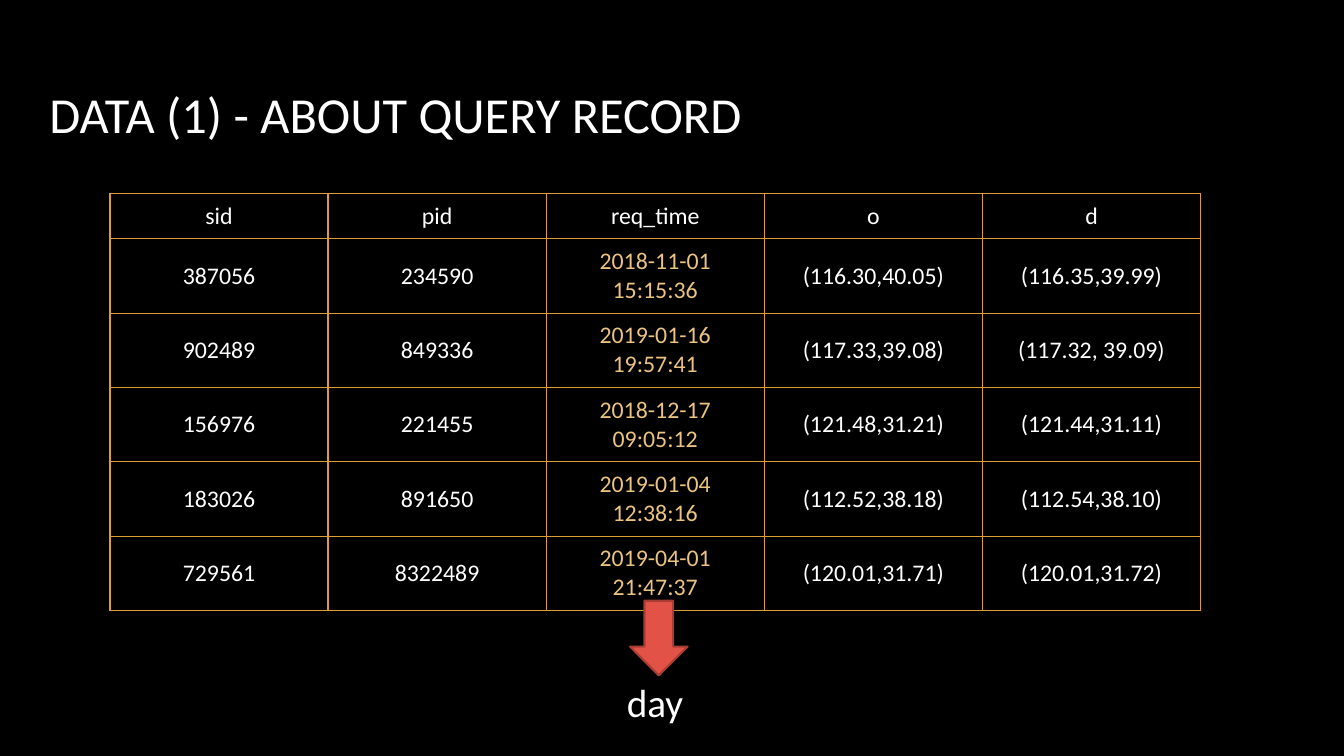
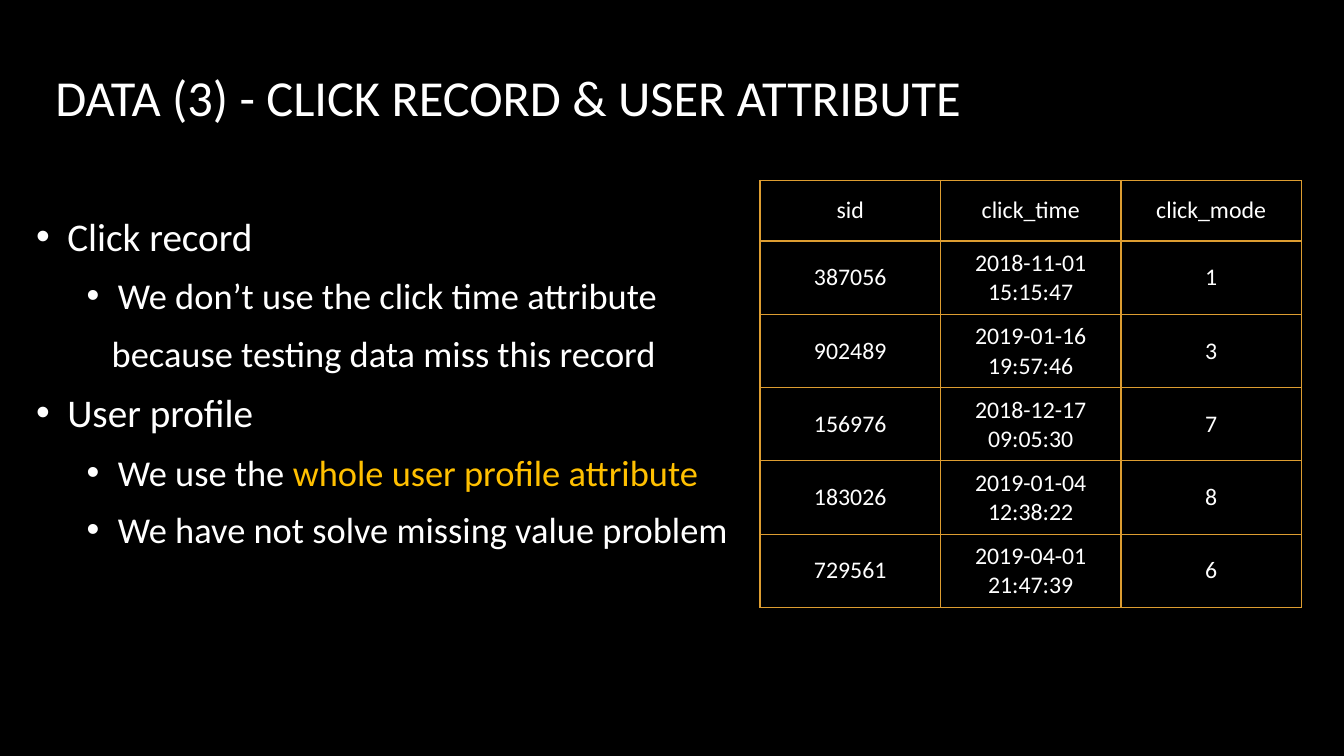
from lxml.etree import SubElement
from pptx import Presentation
from pptx.dml.color import RGBColor
from pptx.enum.shapes import MSO_SHAPE
from pptx.enum.text import MSO_ANCHOR, MSO_AUTO_SIZE, PP_ALIGN
from pptx.oxml.ns import qn
from pptx.util import Inches, Pt

# Shared look
WIDE, HIGH = Inches(13.33), Inches(7.5)
FONT = "Calibri"
BLACK, WHITE = "000000", "FFFFFF"
GOLD, SAND, AMBER = "DD9D31", "EBC483", "FFC000"
RED, MAROON = "E25247", "A73D35"
STEP = 0.31  # hanging indent of a bullet, in inches

# Query record: one row each
QUERY = [
    ["sid", "pid", "req_time", "o", "d"],
    ["387056", "234590", "2018-11-01 15:15:36", "(116.30,40.05)", "(116.35,39.99)"],
    ["902489", "849336", "2019-01-16 19:57:41", "(117.33,39.08)", "(117.32, 39.09)"],
    ["156976", "221455", "2018-12-17 09:05:12", "(121.48,31.21)", "(121.44,31.11)"],
    ["183026", "891650", "2019-01-04 12:38:16", "(112.52,38.18)", "(112.54,38.10)"],
    ["729561", "8322489", "2019-04-01 21:47:37", "(120.01,31.71)", "(120.01,31.72)"],
]

# Click record: one row each
CLICK = [
    ["sid", "click_time", "click_mode"],
    ["387056", "2018-11-01 15:15:47", "1"],
    ["902489", "2019-01-16 19:57:46", "3"],
    ["156976", "2018-12-17 09:05:30", "7"],
    ["183026", "2019-01-04 12:38:22", "8"],
    ["729561", "2019-04-01 21:47:39", "6"],
]

# Notes: level, left margin in inches, bullet, runs of (text, colour)
NOTES = [
    (0, 0.31, True, [("Click record", WHITE)]),
    (1, 0.81, True, [("We don’t use the click time attribute", WHITE)]),
    (1, 0.75, False, [("because testing data miss this record", WHITE)]),
    (0, 0.31, True, [("User profile", WHITE)]),
    (1, 0.81, True, [("We use the ", WHITE), ("whole user profile attribute", AMBER)]),
    (1, 0.81, True, [("We have not solve missing value problem", WHITE)]),
]


def rgb(tone):
    return RGBColor.from_string(tone)


def across(part):
    return round(WIDE * part / 100)


def down(part):
    return round(HIGH * part / 100)


def box(left, top, width, height):
    """Turn percentages of the slide into lengths."""
    return across(left), down(top), across(width), down(height)


def apply(item, **values):
    for name, value in values.items():
        setattr(item, name, value)


def write(para, text, size, tone=WHITE):
    run = para.add_run()
    run.text = text
    apply(run.font, name=FONT, size=Pt(size), bold=False)
    run.font.color.rgb = rgb(tone)


def add_slide(deck, title, left, top):
    slide = deck.slides.add_slide(deck.slide_layouts[5])
    head = slide.shapes.title
    place = zip(("left", "top", "width", "height"), box(left, top, 83.1, 21.2))
    apply(head, **dict(place))
    apply(head.text_frame, word_wrap=True, vertical_anchor=MSO_ANCHOR.MIDDLE)
    para = head.text_frame.paragraphs[0]
    para.alignment = PP_ALIGN.LEFT
    write(para, title, 36)
    return slide


def edge(cell):
    props = cell._tc.get_or_add_tcPr()
    for side in ("a:lnL", "a:lnR", "a:lnT", "a:lnB"):
        line = SubElement(props, qn(side), w=str(Pt(1)))
        fill = SubElement(line, qn("a:solidFill"))
        SubElement(fill, qn("a:srgbClr"), val=GOLD)


def add_grid(slide, rows, left, top, width, first, rest, pad, tones):
    """Draw a table; tones maps a column to the colour of its body text."""
    count = len(rows[0])
    high = first + rest * (len(rows) - 1)
    area = box(left, top, width, high)
    table = slide.shapes.add_table(len(rows), count, *area).table
    apply(table, first_row=False, horz_banding=False)
    for col in table.columns:
        col.width = across(width / count)
    for r, row in enumerate(rows):
        table.rows[r].height = down(rest if r else first)
        for c, text in enumerate(row):
            cell = table.cell(r, c)
            apply(cell, vertical_anchor=MSO_ANCHOR.MIDDLE,
                  margin_left=Inches(pad), margin_right=Inches(pad),
                  margin_top=Inches(0.08), margin_bottom=Inches(0.08))
            edge(cell)
            cell.fill.background()
            para = cell.text_frame.paragraphs[0]
            para.alignment = PP_ALIGN.CENTER
            write(para, text, 17, tones.get(c, WHITE) if r else WHITE)


def add_arrow(slide, *area):
    arrow = slide.shapes.add_shape(MSO_SHAPE.DOWN_ARROW, *box(*area))
    arrow.shadow.inherit = False
    arrow.fill.solid()
    arrow.fill.fore_color.rgb = rgb(RED)
    arrow.line.color.rgb = rgb(MAROON)
    arrow.line.width = Pt(1.5)


def add_text(slide, *area, **values):
    frame = slide.shapes.add_textbox(*box(*area)).text_frame
    apply(frame, word_wrap=True, **values)
    return frame


def indent(para, left, dot):
    props = para._p.get_or_add_pPr()
    props.set("marL", str(Inches(left)))
    props.set("indent", str(Inches(-STEP) if dot else 0))
    if dot:
        tint = SubElement(props, qn("a:buClr"))
        SubElement(tint, qn("a:srgbClr"), val=WHITE)
        SubElement(props, qn("a:buFont"), typeface="Arial")
        SubElement(props, qn("a:buChar"), char="•")
    else:
        SubElement(props, qn("a:buNone"))


def add_notes(slide, notes, *area):
    frame = add_text(slide, *area, vertical_anchor=MSO_ANCHOR.MIDDLE)
    for n, (level, left, dot, runs) in enumerate(notes):
        para = frame.add_paragraph() if n else frame.paragraphs[0]
        apply(para, level=level, space_after=Pt(10))
        indent(para, left, dot)
        for text, tone in runs:
            write(para, text, 26 if level else 28, tone)


def main():
    deck = Presentation()
    apply(deck, slide_width=WIDE, slide_height=HIGH)
    back = deck.slide_master.background.fill
    back.solid()
    back.fore_color.rgb = rgb(BLACK)

    # Query record
    query = add_slide(deck, "DATA (1) - ABOUT QUERY RECORD", 2.93, 4.4)
    add_grid(query, QUERY, 8.18, 25.6, 81.15, 5.73, 9.6, 0.19, {2: SAND})
    add_arrow(query, 46.88, 79.47, 4.28, 9.87)
    day = add_text(query, 45.9, 89.07, 15.23, 7.6,
                   auto_size=MSO_AUTO_SIZE.SHAPE_TO_FIT_TEXT)
    write(day.paragraphs[0], "day", 28)

    # Click record and user attribute
    click = add_slide(deck, "DATA (3) - CLICK RECORD & USER ATTRIBUTE", 3.38, 2.13)
    add_notes(click, NOTES, 1.95, 23.87, 54.6, 53.2)
    add_grid(click, CLICK, 56.55, 23.87, 40.28, 8, 9.6, 0.2, {})

    deck.save("out.pptx")


main()
